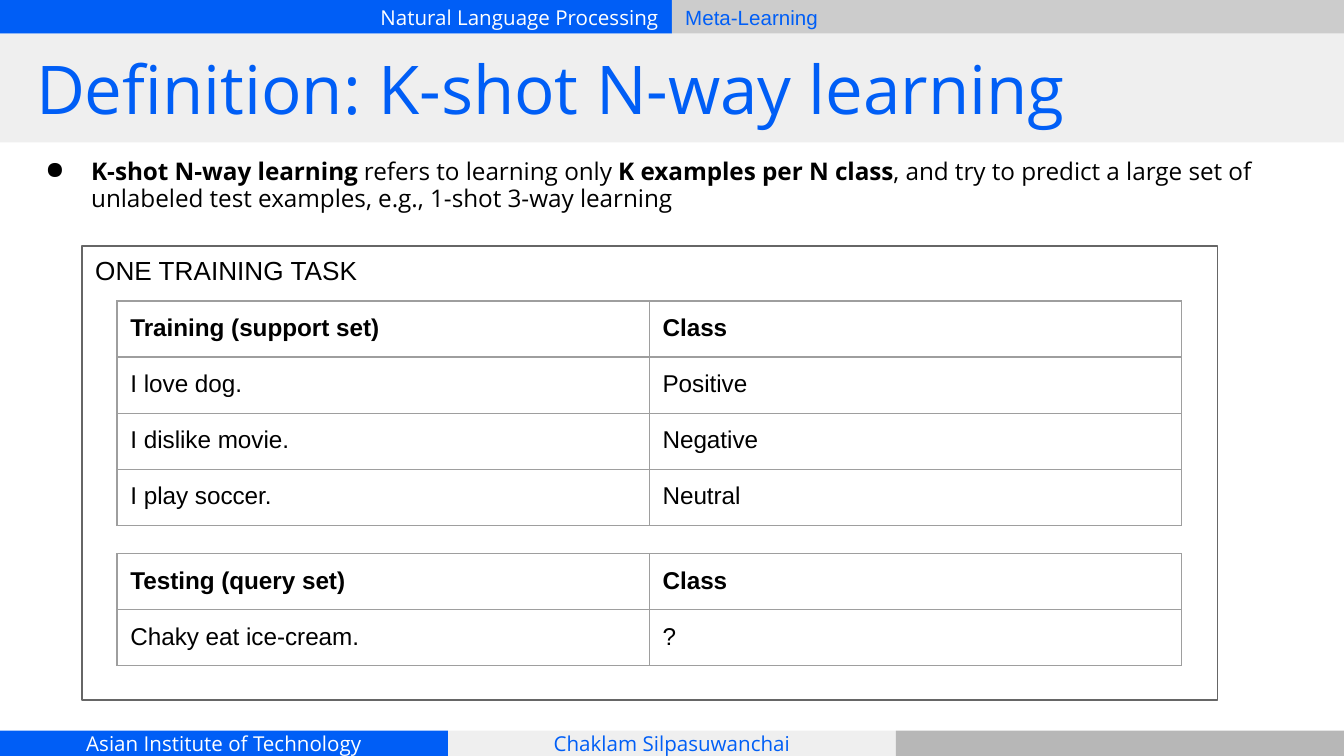
from lxml import etree
from pptx import Presentation
from pptx.dml.color import RGBColor
from pptx.enum.shapes import MSO_SHAPE
from pptx.enum.text import MSO_ANCHOR, PP_ALIGN
from pptx.oxml.ns import qn
from pptx.util import Inches, Pt

RECTANGLE = MSO_SHAPE.RECTANGLE
TOP, MIDDLE = MSO_ANCHOR.TOP, MSO_ANCHOR.MIDDLE
LEFT, CENTER, RIGHT = PP_ALIGN.LEFT, PP_ALIGN.CENTER, PP_ALIGN.RIGHT

COLORS = {
    "blue": "005EF6", "white": "FFFFFF", "black": "000000", "silver": "CCCCCC",
    "pale": "EFEFEF", "gray": "B7B7B7", "frame": "666666", "border": "9E9E9E",
}
WIDTH, HEIGHT = 10, 5.625
HALF, THIRD = WIDTH / 2, WIDTH / 3
HEADER_HEIGHT, TITLE_HEIGHT, FOOTER_HEIGHT = 0.25, 0.81, HEIGHT / 30
FOOTER_TOP = HEIGHT - FOOTER_HEIGHT
ROW_HEIGHT = 0.417


def add_run(paragraph, text, size, font, color, bold=False):
    run = paragraph.add_run()
    run.text = text
    run.font.size = Pt(size)
    run.font.name = font
    run.font.bold = bold
    run.font.color.rgb = RGBColor.from_string(COLORS[color])


def add_box(left, top, width, height, fill=None, align=LEFT, anchor=MIDDLE, inset=0):
    """Add a borderless rectangle and return it with its first paragraph."""
    shape = slide.shapes.add_shape(
        RECTANGLE, Inches(left), Inches(top), Inches(width), Inches(height))
    shape.shadow.inherit = False
    shape.line.fill.background()
    if fill:
        shape.fill.solid()
        shape.fill.fore_color.rgb = RGBColor.from_string(COLORS[fill])
    else:
        shape.fill.background()
    frame = shape.text_frame
    frame.word_wrap = True
    frame.vertical_anchor = anchor
    frame.margin_left = frame.margin_right = Inches(0.1)
    frame.margin_top = frame.margin_bottom = Inches(inset)
    paragraph = frame.paragraphs[0]
    paragraph.alignment = align
    return shape, paragraph


presentation = Presentation()
presentation.slide_width = Inches(WIDTH)
presentation.slide_height = Inches(HEIGHT)
slide = presentation.slides.add_slide(presentation.slide_layouts[6])

# Header and footer bars
bars = [
    (0, 0, HALF, HEADER_HEIGHT, "blue", RIGHT,
     "Natural Language Processing", "Open Sans", "white"),
    (HALF, 0, HALF, HEADER_HEIGHT, "silver", LEFT, "Meta-Learning", "Arial", "blue"),
    (0, FOOTER_TOP, THIRD, FOOTER_HEIGHT, "blue", CENTER,
     "Asian Institute of Technology", "Open Sans", "white"),
    (THIRD, FOOTER_TOP, THIRD, FOOTER_HEIGHT, "pale", CENTER,
     "Chaklam Silpasuwanchai", "Open Sans", "blue"),
    (2 * THIRD, FOOTER_TOP, THIRD, FOOTER_HEIGHT, "gray", LEFT, "", "Open Sans", "blue"),
]
for left, top, width, height, fill, align, text, font, color in bars:
    shape, paragraph = add_box(left, top, width, height, fill, align)
    if text:
        add_run(paragraph, text, 11, font, color)

# Title on its band
add_box(0, HEADER_HEIGHT, WIDTH, TITLE_HEIGHT, "pale")
shape, paragraph = add_box(0.17, HEADER_HEIGHT, 9.67, TITLE_HEIGHT)
add_run(paragraph, "Definition: K-shot N-way learning", 36, "Open Sans", "blue")

# Definition bullet
shape, paragraph = add_box(0.08, 0.98, 9.58, 0.81, inset=0.1)
paragraph.line_spacing = 0.9
properties = paragraph._p.get_or_add_pPr()
properties.set("marL", str(Inches(0.5)))
properties.set("indent", str(Inches(-0.34)))
bullet_color = etree.SubElement(properties, qn("a:buClr"))
etree.SubElement(bullet_color, qn("a:srgbClr"), val=COLORS["black"])
etree.SubElement(properties, qn("a:buChar"), char="●")
for text, bold in [
    ("K-shot N-way learning", True),
    (" refers to learning only ", False),
    ("K examples per N class", True),
    (", and try to predict a large set of unlabeled test examples, "
     "e.g., 1-shot 3-way learning", False),
]:
    add_run(paragraph, text, 13, "Open Sans", "black", bold)

# Frame around the training task
task_frame, paragraph = add_box(0.61, 1.83, 8.45, 3.38, anchor=TOP, inset=0.06)
task_frame.line.color.rgb = RGBColor.from_string(COLORS["frame"])
task_frame.line.width = Pt(0.75)
add_run(paragraph, "ONE TRAINING TASK", 14, "Arial", "black")

# Support and query tables
tables = [
    (2.24, [("Training (support set)", "Class"), ("I love dog.", "Positive"),
            ("I dislike movie.", "Negative"), ("I play soccer.", "Neutral")]),
    (4.12, [("Testing (query set)", "Class"), ("Chaky eat ice-cream.", "?")]),
]
for top, rows in tables:
    table = slide.shapes.add_table(
        len(rows), 2, Inches(0.87), Inches(top),
        Inches(7.92), Inches(ROW_HEIGHT * len(rows))).table
    table.horz_banding = False
    for row_index, row in enumerate(rows):
        for column_index, text in enumerate(row):
            cell = table.cell(row_index, column_index)
            cell.margin_left = cell.margin_right = Inches(0.1)
            cell.margin_top = cell.margin_bottom = Inches(0.1)
            add_run(cell.text_frame.paragraphs[0], text, 13, "Arial", "black",
                    bold=row_index == 0)
            cell_properties = cell._tc.get_or_add_tcPr()
            for side in ("a:lnL", "a:lnR", "a:lnT", "a:lnB"):
                line = etree.SubElement(cell_properties, qn(side), w=str(Pt(0.75)))
                line_fill = etree.SubElement(line, qn("a:solidFill"))
                etree.SubElement(line_fill, qn("a:srgbClr"), val=COLORS["border"])
            cell.fill.background()

presentation.save("out.pptx")
